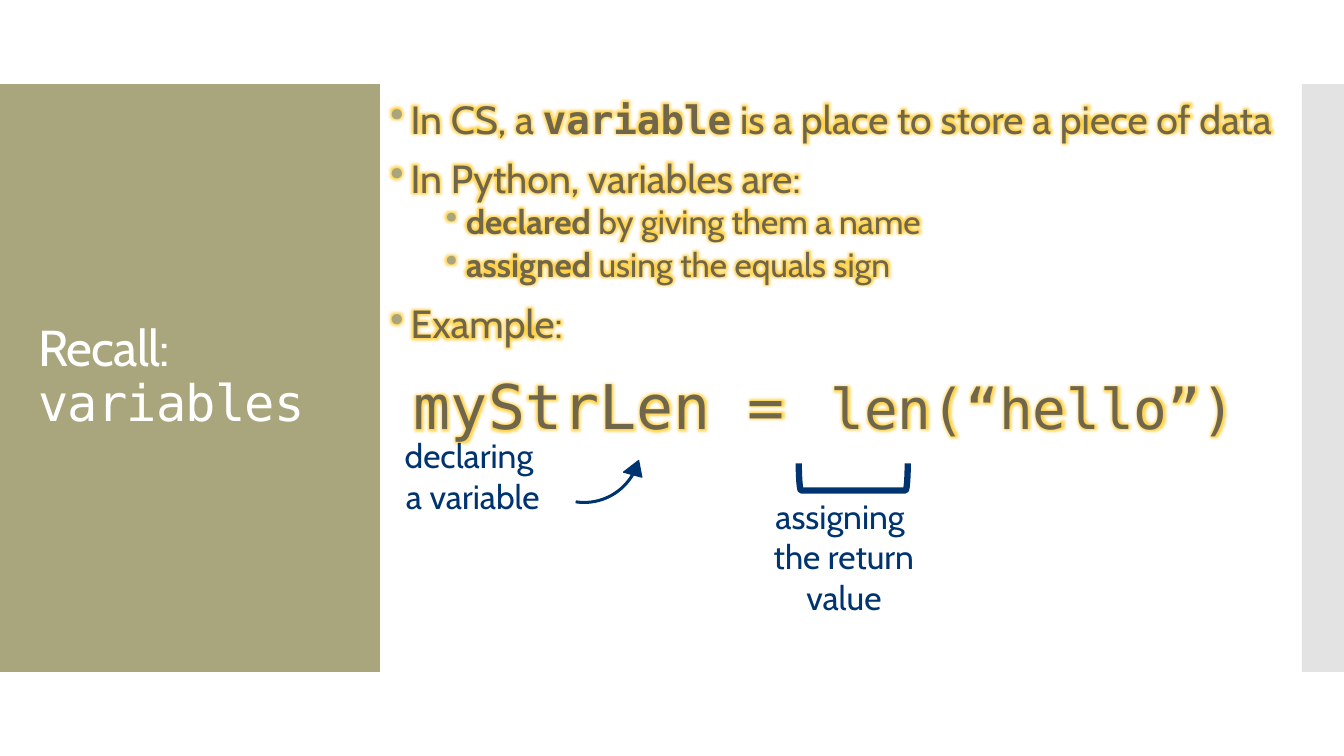
import lxml.etree
import pptx
import pptx.dml.color
import pptx.enum.shapes
import pptx.enum.text
import pptx.oxml.ns
import pptx.util

Pt = pptx.util.Pt
SHAPES = pptx.enum.shapes.MSO_SHAPE
ALIGN = pptx.enum.text.PP_ALIGN
ANCHOR = pptx.enum.text.MSO_ANCHOR

SANS, MONO = "Cabin", "DejaVu Sans Mono"
OLIVE, GREY, WHITE = "A9A57C", "C8C8C8", "FFFFFF"
BROWN, NAVY, GLOW = "6F664C", "003470", "FFCA28"


def rgb(value):
    return pptx.dml.color.RGBColor.from_string(value)


def add_child(parent, tag, **attributes):
    child = lxml.etree.SubElement(parent, pptx.oxml.ns.qn(tag))
    for name, value in attributes.items():
        child.set(name, str(value))
    return child


def add_preset(slide, kind, box, fill=None, line=None, line_width=0, rotation=0):
    shape = slide.shapes.add_shape(kind, *map(Pt, box))
    shape.shadow.inherit = False
    shape.rotation = rotation
    if fill:
        shape.fill.solid()
        shape.fill.fore_color.rgb = rgb(fill)
    else:
        shape.fill.background()
    if line:
        shape.line.color.rgb = rgb(line)
        shape.line.width = Pt(line_width)
    else:
        shape.line.fill.background()
    return shape


def set_opacity(shape, percent):
    color = shape.fill._xPr.find(".//" + pptx.oxml.ns.qn("a:srgbClr"))
    add_child(color, "a:alpha", val=percent * 1000)


def add_text_frame(slide, box, anchor=ANCHOR.TOP, wrap=True):
    frame = slide.shapes.add_textbox(*map(Pt, box)).text_frame
    frame.word_wrap = wrap
    frame.vertical_anchor = anchor
    return frame


def add_paragraph(frame, runs, size, color, align=ALIGN.LEFT, line_spacing=1.0):
    """Add a paragraph of (text, font name, bold[, size]) runs, reusing an empty first one."""
    paragraph = frame.paragraphs[0]
    if paragraph.runs:
        paragraph = frame.add_paragraph()
    paragraph.alignment = align
    paragraph.line_spacing = line_spacing
    paragraph.font.color.rgb = rgb(color)
    for text, name, bold, *own_size in runs:
        run = paragraph.add_run()
        run.text = text
        run.font.name = name
        run.font.bold = bold
        run.font.size = Pt(own_size[0] if own_size else size)
    return paragraph


def add_bullet(paragraph, margin):
    properties = paragraph._p.get_or_add_pPr()
    properties.set("marL", str(Pt(margin)))
    properties.set("indent", str(Pt(-14.4)))
    default_font = properties.find(pptx.oxml.ns.qn("a:defRPr"))
    add_child(add_child(properties, "a:buClr"), "a:srgbClr", val=OLIVE)
    add_child(properties, "a:buChar", char="•")
    if default_font is not None:
        properties.append(default_font)


def add_glow(paragraph, radius):
    for run in paragraph.runs:
        properties = run._r.get_or_add_rPr()
        effects = lxml.etree.Element(pptx.oxml.ns.qn("a:effectLst"))
        glow = add_child(effects, "a:glow", rad=Pt(radius))
        color = add_child(glow, "a:srgbClr", val=GLOW)
        add_child(color, "a:alpha", val=85000)
        properties.find(pptx.oxml.ns.qn("a:latin")).addprevious(effects)


def add_title(slide):
    frame = add_text_frame(slide, (20.2, 88.6, 231.8, 362.2), ANCHOR.MIDDLE)
    runs = [("Recall: ", SANS, False), ("variables", MONO, False)]
    paragraph = add_paragraph(frame, runs, 36, WHITE, line_spacing=0.9)
    for run in paragraph.runs:
        run._r.get_or_add_rPr().set("spc", "-60")


def add_body(slide):
    frame = add_text_frame(slide, (271.8, 68, 658.1, 403.2))
    points = [
        (0, [("In CS, a ", SANS, False), ("variable", MONO, True),
             (" is a place to store a piece of data", SANS, False)]),
        (0, [("In Python, variables are:", SANS, False)]),
        (1, [("declared", SANS, True), (" by giving them a name", SANS, False)]),
        (1, [("assigned", SANS, True), (" using the equals sign", SANS, False)]),
        (0, [("Example:", SANS, False)]),
    ]
    for level, runs in points:
        paragraph = add_paragraph(frame, runs, 24 if level else 28, BROWN, line_spacing=0.9)
        paragraph.level = level
        paragraph.space_before = Pt(2.5 if level else 12)
        paragraph.space_after = Pt(2.5 if level else 0)
        add_bullet(paragraph, 54 if level else 14.4)
        add_glow(paragraph, 5)

    code = [("myStrLen =", MONO, False), (" ", MONO, False, 54),
            ("len(“hello”) ", MONO, False, 40)]
    paragraph = add_paragraph(frame, code, 44, BROWN, ALIGN.CENTER, 0.9)
    paragraph.space_before = Pt(12)
    add_glow(paragraph, 5)


def add_label(slide, box, lines, wrap):
    frame = add_text_frame(slide, box, wrap=wrap)
    for line in lines:
        add_paragraph(frame, [(line, SANS, False)], 24, NAVY, ALIGN.CENTER)


def add_curved_arrow(slide):
    """Sweep from below the label's right edge up towards the variable name."""
    arrow = add_preset(slide, SHAPES.CIRCULAR_ARROW, (370.1, 270.7, 94.3, 95),
                       NAVY, NAVY, 0.85)
    arrow._element.spPr.find(pptx.oxml.ns.qn("a:xfrm")).set("flipV", "1")
    head_angle, end_angle, start_angle = (degrees * 0.6 for degrees in (15.63, 329, 262))
    for index, value in enumerate((0.014, head_angle, end_angle, start_angle, 0.072)):
        arrow.adjustments[index] = value


def main():
    presentation = pptx.Presentation()
    presentation.slide_width, presentation.slide_height = Pt(960), Pt(540)
    slide = presentation.slides.add_slide(presentation.slide_layouts[6])

    add_preset(slide, SHAPES.RECTANGLE, (0, 60, 271.4, 420), OLIVE)
    side_bar = add_preset(slide, SHAPES.RECTANGLE, (930, 60, 30, 420), GREY)
    set_opacity(side_bar, 50)
    add_title(slide)
    add_body(slide)
    add_label(slide, (280.1, 307.4, 115.2, 65.5), ["declaring ", "a variable"], False)
    add_curved_arrow(slide)
    add_label(slide, (520, 350.6, 165.6, 65.5), ["assigning ", "the return value"], True)
    add_preset(slide, SHAPES.LEFT_BRACKET, (599.8, 301.7, 19.4, 77.8),
               line=NAVY, line_width=4.5, rotation=270)
    presentation.save("out.pptx")


if __name__ == "__main__":
    main()
